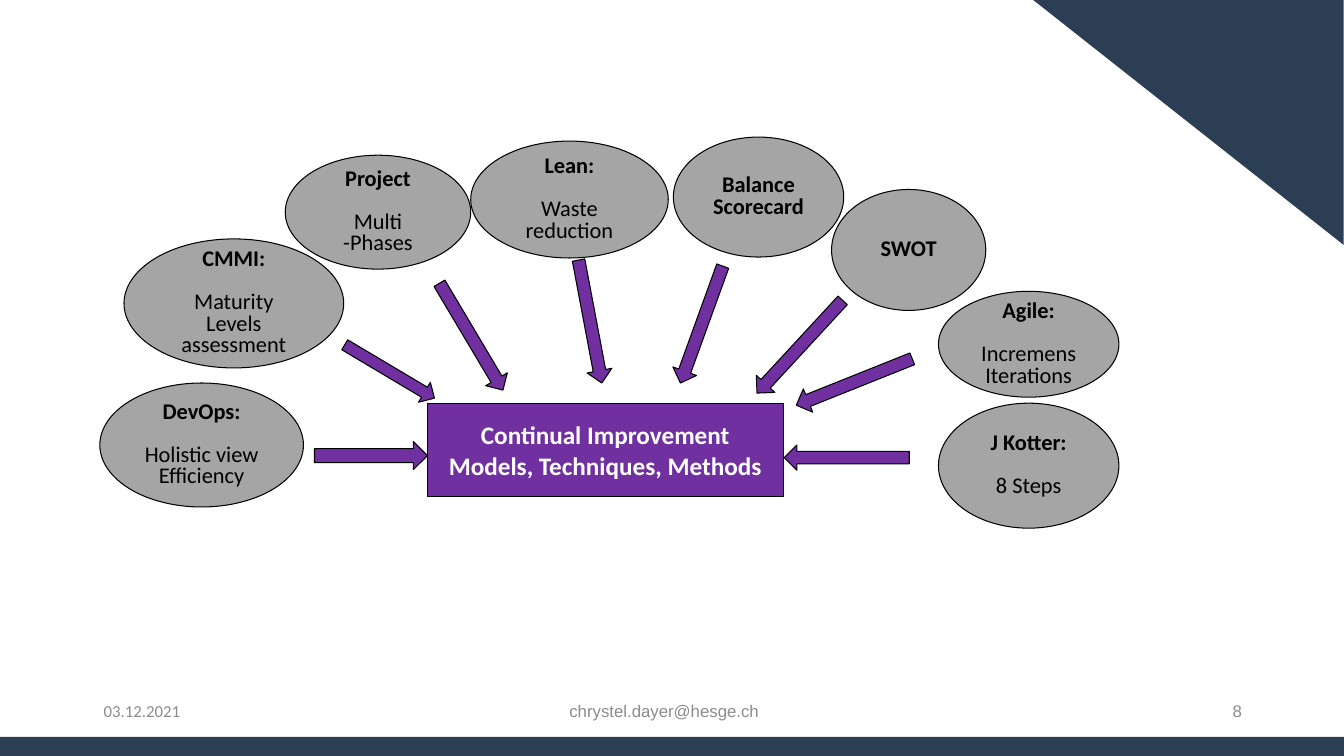
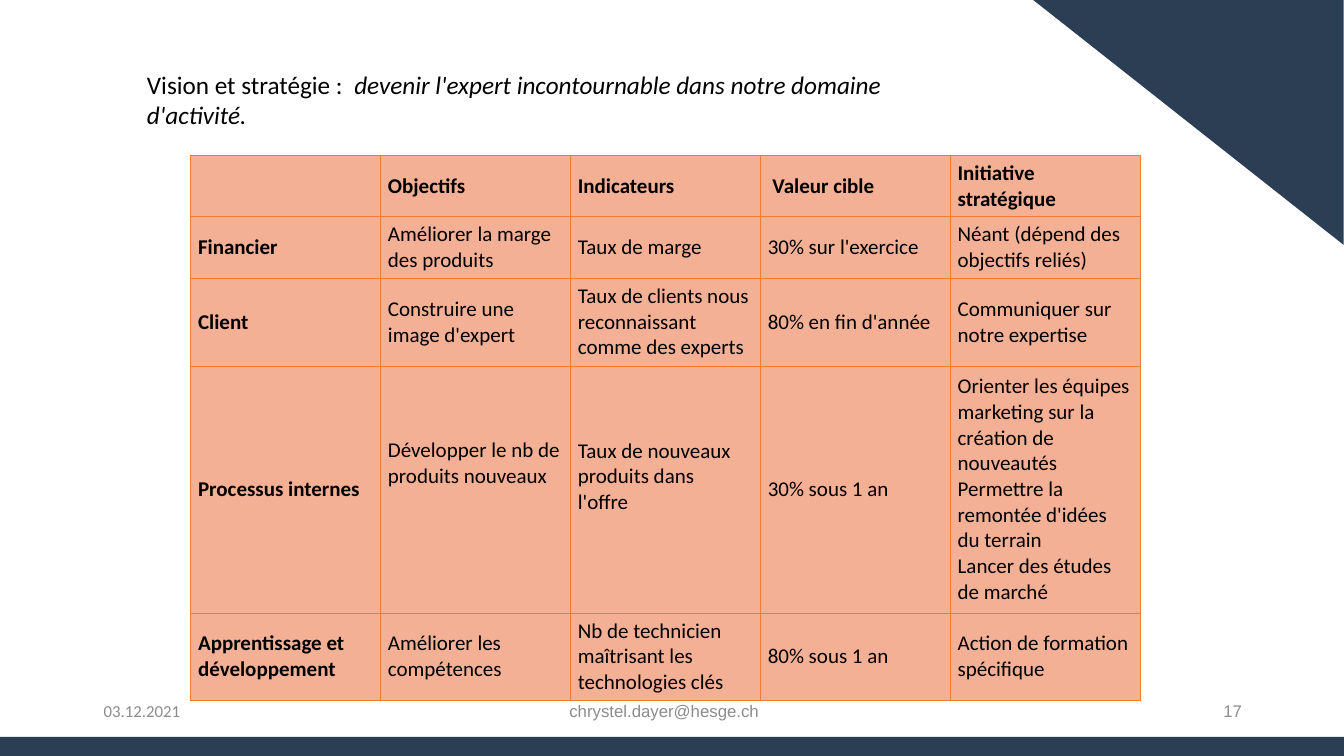
import math

from lxml import etree
from pptx import Presentation, util as u
from pptx.dml.color import RGBColor
from pptx.enum import shapes, text
from pptx.oxml.ns import qn

# Palette
NAVY = RGBColor(0x2B, 0x3E, 0x54)
PURPLE = RGBColor(0x70, 0x30, 0xA0)
GREY = RGBColor(0xA5, 0xA5, 0xA5)
FOOTER_GREY = RGBColor(0x8C, 0x8C, 0x8C)
SALMON = RGBColor(0xF4, 0xB0, 0x95)
ORANGE = RGBColor(0xED, 0x7D, 0x31)
BLACK = RGBColor(0, 0, 0)
WHITE = RGBColor(0xFF, 0xFF, 0xFF)

# Grid of square cells, ten to the inch
COLS, ROWS = 133.33, 75
SHAPE = shapes.MSO_SHAPE
ALIGN = text.PP_ALIGN
MIDDLE = text.MSO_ANCHOR.MIDDLE


def cells(n):
    return u.Inches(n / 10)


class Deck:
    """Holds the shared style and the slide being filled."""

    def __init__(self):
        self.prs = Presentation()
        self.prs.slide_width = cells(COLS)
        self.prs.slide_height = cells(ROWS)
        self.s = None

    def slide(self, number):
        self.s = self.prs.slides.add_slide(self.prs.slide_layouts[6])
        self.shape(SHAPE.RECTANGLE, (0, 73.1, COLS, 1.9), NAVY)
        corner = self.shape(SHAPE.RIGHT_TRIANGLE, (102.5, 0, 30.8, 24.3), NAVY)
        corner.rotation = 180
        footers = (
            (9.3, 29.8, "03.12.2021", "Calibri", ALIGN.LEFT),
            (43.4, 45, "chrystel.dayer@hesge.ch", "Arial", ALIGN.CENTER),
            (94.2, 30, str(number), "Arial", ALIGN.RIGHT),
        )
        for x, w, words, face, align in footers:
            tf = self.textbox((x, 68.5, w, 4))
            tf.vertical_anchor = MIDDLE
            self.add_words(tf.paragraphs[0], words, 12, FOOTER_GREY, face=face, align=align)

    def add_words(self, p, words, size, color=BLACK, bold=False, italic=False,
                  face="Calibri", align=ALIGN.LEFT):
        r = p.add_run()
        r.text = words
        r.font.size = u.Pt(size)
        r.font.name = face
        r.font.color.rgb = color
        r.font.bold = bold
        r.font.italic = italic
        p.alignment = align

    def paragraphs(self, tf, lines):
        """Yield one paragraph for each line, with its index and words."""
        for i, words in enumerate(lines):
            yield i, tf.paragraphs[0] if i == 0 else tf.add_paragraph(), words

    def shape(self, kind, box, fill, outlined=False):
        sp = self.s.shapes.add_shape(kind, *map(cells, box))
        sp.shadow.inherit = False
        sp.fill.solid()
        sp.fill.fore_color.rgb = fill
        if outlined:
            sp.line.color.rgb = BLACK
            sp.line.width = u.Pt(0.75)
        else:
            sp.line.fill.background()
        return sp

    def textbox(self, box):
        tf = self.s.shapes.add_textbox(*map(cells, box)).text_frame
        tf.word_wrap = True
        return tf

    def hub(self, box, lines):
        tf = self.shape(SHAPE.RECTANGLE, box, PURPLE, True).text_frame
        tf.vertical_anchor = MIDDLE
        for _, p, words in self.paragraphs(tf, lines):
            self.add_words(p, words, 18, WHITE, bold=True, align=ALIGN.CENTER)

    def bubble(self, box, heading, details):
        """Ellipse with bold heading lines, a gap, then plain details."""
        tf = self.shape(SHAPE.OVAL, box, GREY, True).text_frame
        tf.vertical_anchor = MIDDLE
        for i, p, words in self.paragraphs(tf, heading + details):
            p.line_spacing = 0.8
            if i == len(heading):
                p.space_before = u.Pt(15.5)
            self.add_words(p, words, 16, bold=i < len(heading), align=ALIGN.CENTER)

    def arrow(self, tail, tip, width=2.5):
        """Block arrow drawn from its tail point to its tip point."""
        dx, dy = tip[0] - tail[0], tip[1] - tail[1]
        length = math.hypot(dx, dy)
        left = (tail[0] + tip[0] - width) / 2
        top = (tail[1] + tip[1] - length) / 2
        sp = self.shape(SHAPE.DOWN_ARROW, (left, top, width, length), PURPLE, True)
        sp.rotation = math.degrees(math.atan2(-dx, dy)) % 360

    def border(self, cell):
        tc_pr = cell._tc.get_or_add_tcPr()
        for i, side in enumerate(("lnL", "lnR", "lnT", "lnB")):
            ln = etree.Element(qn(f"a:{side}"), w=str(u.Pt(0.5)))
            fill = etree.SubElement(ln, qn("a:solidFill"))
            etree.SubElement(fill, qn("a:srgbClr"), val=str(ORANGE))
            tc_pr.insert(i, ln)

    def table(self, box, heights, rows, insets):
        """Grid of equal columns; insets add (right, bottom) room to a cell."""
        n = len(rows[0])
        tbl = self.s.shapes.add_table(len(rows), n, *map(cells, box)).table
        for col in tbl.columns:
            col.width = cells(box[2] / n)
        for r, (height, row) in enumerate(zip(heights, rows)):
            tbl.rows[r].height = cells(height)
            for c, words in enumerate(row):
                cell = tbl.cell(r, c)
                right, bottom = insets.get((r, c), (0, 0))
                cell.margin_left = cells(0.75)
                cell.margin_right = cells(0.75 + right)
                cell.margin_top = cells(0.38)
                cell.margin_bottom = cells(0.38 + bottom)
                cell.vertical_anchor = MIDDLE
                cell.fill.solid()
                cell.fill.fore_color.rgb = SALMON
                self.border(cell)
                if words:
                    for _, p, line in self.paragraphs(cell.text_frame, words.split("\n")):
                        self.add_words(p, line, 15, bold=r == 0 or c == 0)


# Improvement methods around a hub
def methods_slide(deck):
    deck.slide(8)
    deck.hub((42.4, 40, 35.3, 9.3),
             ["Continual Improvement", "Models, Techniques, Methods"])
    bubbles = (
        ((12.3, 23.7, 21.8, 12.8), ["CMMI:"], ["Maturity", "Levels", "assessment"]),
        ((28.3, 15.4, 18.4, 11.3), ["Project"], ["Multi", "-Phases"]),
        ((66.8, 13.6, 16.9, 11.9), ["Balance", "Scorecard"], []),
        ((82.5, 18.8, 15.3, 12), ["SWOT"], []),
        ((93.1, 40, 17.9, 12.4), ["J Kotter:"], ["8 Steps"]),
        ((46.7, 14, 19.6, 11.6), ["Lean:"], ["Waste", "reduction"]),
        ((9.9, 38, 20.2, 12.3), ["DevOps:"], ["Holistic view", "Efficiency"]),
        ((93.1, 28.9, 17.9, 10.5), ["Agile:"], ["Incremens", "Iterations"]),
    )
    for bubble in bubbles:
        deck.bubble(*bubble)
    arrows = (
        ((31.2, 45.2), (42.4, 45.2), 2.8),
        ((34.2, 34.2), (43.1, 39.5), 2.3),
        ((43.6, 28.1), (49.9, 38.7)),
        ((57.4, 25.8), (59.7, 38)),
        ((71.7, 26.4), (67.5, 38)),
        ((83.6, 29.8), (75.1, 39)),
        ((90.5, 35.6), (79, 40.2)),
        ((90.2, 45.4), (77.8, 45.4)),
    )
    for arrow in arrows:
        deck.arrow(*arrow)


# Balanced scorecard
def scorecard_slide(deck):
    deck.slide(17)
    p = deck.textbox((13.6, 6.4, 80.6, 7.1)).paragraphs[0]
    deck.add_words(p, "Vision et stratégie :  ", 18)
    deck.add_words(p, "devenir l'expert incontournable dans notre domaine d'activité.",
                   18, italic=True)
    rows = (
        ("", "Objectifs", "Indicateurs", " Valeur cible", "Initiative stratégique"),
        ("Financier", "Améliorer la marge des produits", "Taux de marge",
         "30% sur l'exercice", "Néant (dépend des objectifs reliés)"),
        ("Client", "Construire une image d'expert",
         "Taux de clients nous reconnaissant comme des experts",
         "80% en fin d'année", "Communiquer sur notre expertise"),
        ("Processus internes", "Développer le nb de produits nouveaux",
         "Taux de nouveaux produits dans l'offre", "30% sous 1 an",
         "Orienter les équipes marketing sur la création de nouveautés\n"
         "Permettre la remontée d'idées du terrain\n"
         "Lancer des études de marché"),
        ("Apprentissage et développement", "Améliorer les compétences",
         "Nb de technicien maîtrisant les technologies clés",
         "80% sous 1 an", "Action de formation spécifique"),
    )
    deck.table((18.9, 15.4, 94.2, 54.1), (6.1, 6.1, 8.7, 24.5, 8.7), rows,
               {(3, 1): (0, 5.1), (3, 2): (1.6, 2.5)})


def main():
    deck = Deck()
    methods_slide(deck)
    scorecard_slide(deck)
    deck.prs.save("out.pptx")


if __name__ == "__main__":
    main()
